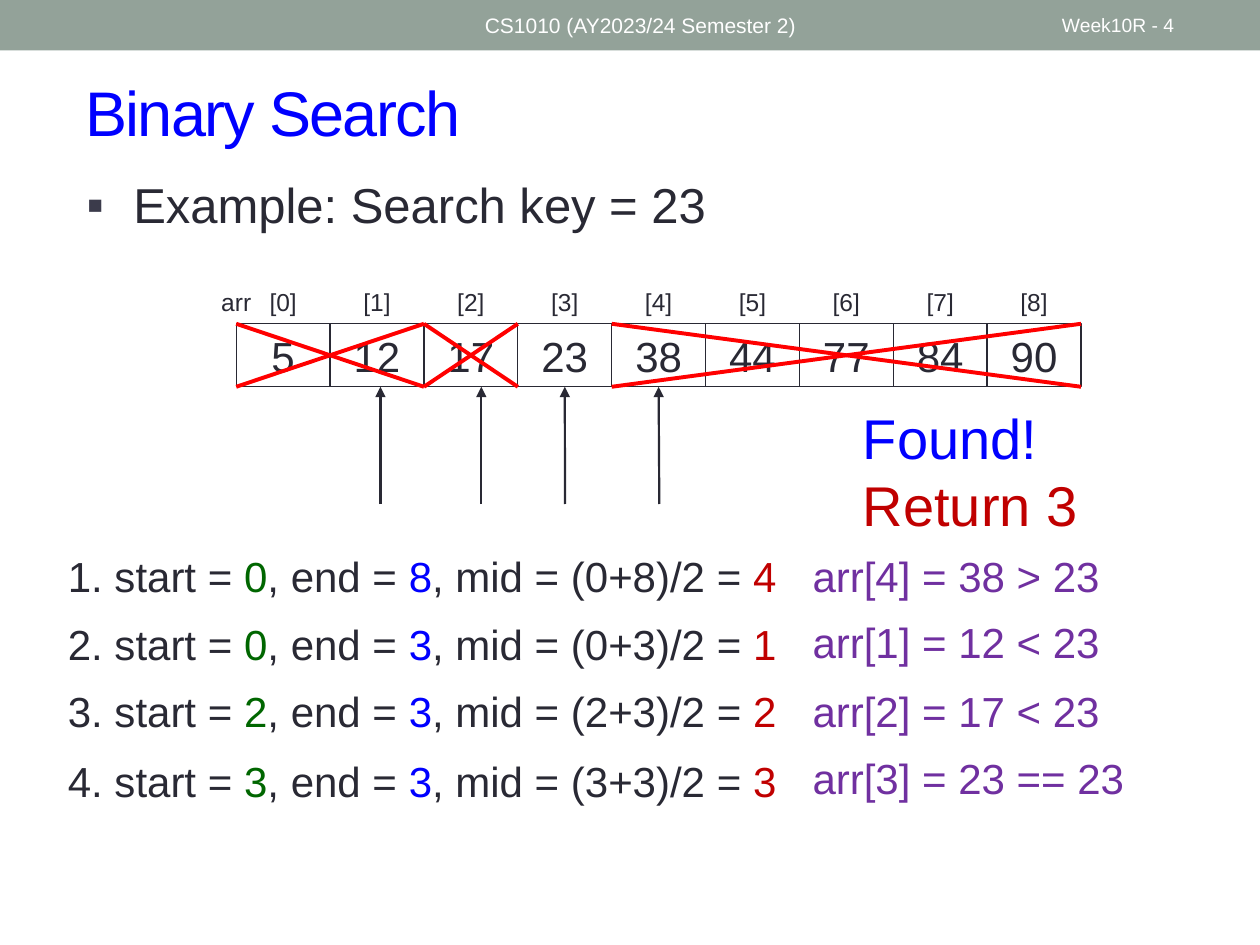
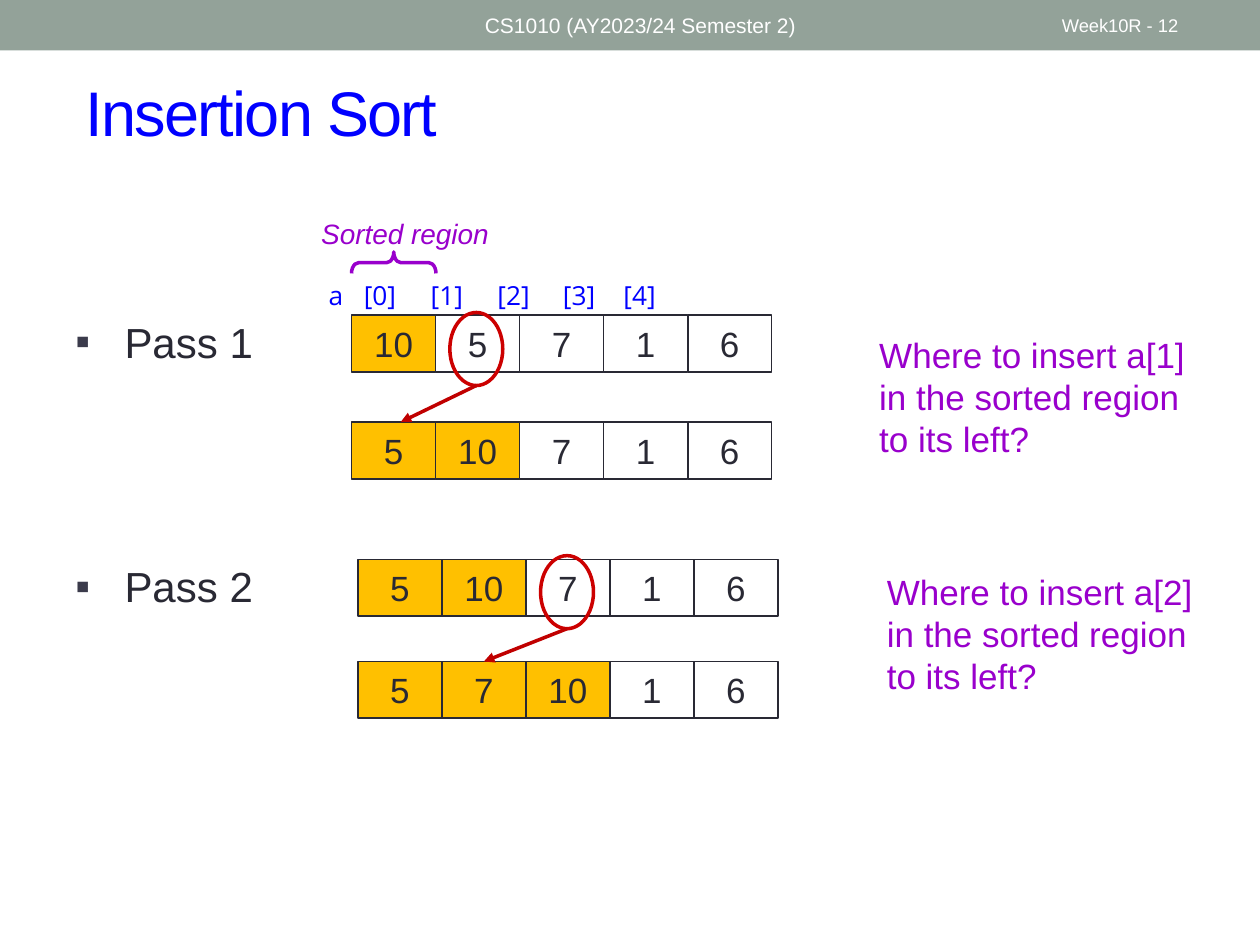
from lxml import etree
from pptx import Presentation, util as u
from pptx.dml.color import RGBColor
from pptx.enum import shapes, text
from pptx.oxml import ns

# Shared look
SAGE = RGBColor(0x93, 0xA2, 0x99)
INK = RGBColor(0x29, 0x29, 0x34)
BULLET = "3B3B4B"
BLUE = RGBColor(0x00, 0x00, 0xFF)
GREEN = RGBColor(0x00, 0x66, 0x00)
DARK_RED = RGBColor(0xC0, 0x00, 0x00)
RED = RGBColor(0xFF, 0x00, 0x00)
RING_RED = RGBColor(0xCC, 0x00, 0x00)
PURPLE = RGBColor(0x70, 0x30, 0xA0)
VIOLET = RGBColor(0x99, 0x00, 0xCC)
AMBER = RGBColor(0xFF, 0xC0, 0x00)
WHITE = RGBColor(0xFF, 0xFF, 0xFF)
MIDDLE = text.MSO_ANCHOR.MIDDLE
CENTER = text.PP_ALIGN.CENTER
SHAPE = shapes.MSO_SHAPE

# The slide is a grid of 100 columns by 75 rows of square units
COLUMNS, ROWS = 100, 75
UNIT = u.Inches(0.1)


def grid(*lengths):
    return [round(length * UNIT) for length in lengths]


def add_xml(parent, tag, **attributes):
    return etree.SubElement(parent, ns.qn(tag), attributes)


# Kinds of element
def style_font(paragraph, size, color, font="Arial"):
    paragraph.font.size = u.Pt(size)
    paragraph.font.name = font
    paragraph.font.color.rgb = color


def add_text(slide, box, lines, size, color=INK, align=None, anchor=None, font="Arial"):
    """Each line is a string or a list of (string, colour) runs."""
    frame = slide.shapes.add_textbox(*grid(*box)).text_frame
    frame.word_wrap = True
    frame.vertical_anchor = anchor
    for number, line in enumerate(lines):
        paragraph = frame.add_paragraph() if number else frame.paragraphs[0]
        paragraph.alignment = align
        style_font(paragraph, size, color, font)
        for words, run_color in [(line, color)] if isinstance(line, str) else line:
            run = paragraph.add_run()
            run.text = words
            if run_color != color:
                run.font.color.rgb = run_color
    return frame.paragraphs[0]


def add_bullet(slide, box, words, size, indent, line_spacing=None):
    paragraph = add_text(slide, box, [words], size)
    paragraph.line_spacing = line_spacing
    properties = paragraph._p.get_or_add_pPr()
    hanging = u.Inches(indent)
    properties.set("marL", str(hanging))
    properties.set("indent", str(-hanging))
    default_font = properties.find(ns.qn("a:defRPr"))
    color = add_xml(properties, "a:buClr")
    add_xml(color, "a:srgbClr", val=BULLET)
    add_xml(properties, "a:buFont", typeface="Arial")
    add_xml(properties, "a:buChar", char="▪")
    if default_font is not None:
        properties.append(default_font)


def set_tabs(paragraph, stops):
    properties = paragraph._p.get_or_add_pPr()
    default_font = properties.find(ns.qn("a:defRPr"))
    tabs = add_xml(properties, "a:tabLst")
    for stop in grid(*stops):
        add_xml(tabs, "a:tab", pos=str(stop), algn="l")
    if default_font is not None:
        properties.append(default_font)


def add_outline(slide, kind, box, line_color, width, fill=None):
    shape = slide.shapes.add_shape(kind, *grid(*box))
    shape.shadow.inherit = False
    if fill is None:
        shape.fill.background()
    else:
        shape.fill.solid()
        shape.fill.fore_color.rgb = fill
    if line_color is None:
        shape.line.fill.background()
    else:
        shape.line.color.rgb = line_color
        shape.line.width = u.Pt(width)
    return shape


def add_array(slide, left, top, cell_size, values, size, line_width, sorted_count=0):
    """A row of touching cells; the first sorted_count cells are shaded."""
    width, height = cell_size
    cells = []
    for index, value in enumerate(values):
        box = (left + index * width, top, width, height)
        fill = AMBER if index < sorted_count else None
        cell = add_outline(slide, SHAPE.RECTANGLE, box, INK, line_width, fill)
        cell.text_frame.vertical_anchor = MIDDLE
        paragraph = cell.text_frame.paragraphs[0]
        paragraph.text = str(value)
        paragraph.alignment = CENTER
        style_font(paragraph, size, INK)
        cells.append(cell)
    return cells


def add_line(slide, start, end, color, width, arrow=False, cell=None, side=0):
    """A straight line, joined at its end to a side of the cell if one is given."""
    line = slide.shapes.add_connector(shapes.MSO_CONNECTOR.STRAIGHT, *grid(*start, *end))
    line.line.color.rgb = color
    line.line.width = u.Pt(width)
    if arrow:
        add_xml(line.line._get_or_add_ln(), "a:tailEnd", type="triangle")
    add_xml(line._element.spPr, "a:effectLst")
    if cell is not None:
        line.end_connect(cell, side)


def add_cross(slide, left, right, top, bottom):
    add_line(slide, (left, top), (right, bottom), RED, 2.25)
    add_line(slide, (left, bottom), (right, top), RED, 2.25)


def add_page(presentation, title, number, number_size):
    """A slide with the header band, its captions and the title."""
    slide = presentation.slides.add_slide(presentation.slide_layouts[6])
    add_outline(slide, SHAPE.RECTANGLE, (0, 0, COLUMNS, 4), None, 0, SAGE)
    heading = add_text(slide, (5.8, 4.2, 91.7, 9.2), [title], 36, BLUE, anchor=MIDDLE)
    for run in heading.runs:
        run._r.get_or_add_rPr().set("spc", "-100")
    add_text(slide, (37.5, 0.2, 45, 3.6), ["CS1010 (AY2023/24 Semester 2)"], 12, WHITE,
             anchor=MIDDLE)
    add_text(slide, (83.3, 0.2, 11.7, 3.6), [f"Week10R - {number}"], number_size, WHITE,
             anchor=MIDDLE)
    return slide


# Slides
def build_binary_search(presentation):
    slide = add_page(presentation, "Binary Search", 4, 11)
    add_bullet(slide, (5.9, 13.9, 86.7, 5.9), "Example: Search key = 23", 28, 0.37, 0.9)

    # Array with its indices
    left, top, width, height = 18.75, 25.7, 7.45, 5
    bottom = top + height
    values = [5, 12, 17, 23, 38, 44, 77, 84, 90]
    cells = add_array(slide, left, top, (width, height), values, 24, 0.75)
    for index in range(len(values)):
        add_text(slide, (left + index * width, 22.3, width, 3.4), [f"[{index}]"], 14,
                 align=CENTER)
    add_text(slide, (15, 22.3, 7.5, 3.4), ["arr"], 14, align=CENTER)

    # Discarded ranges (first cell, cell after the last) and probed cells
    for first, after in [(4, 9), (0, 2), (2, 3)]:
        add_cross(slide, left + first * width, left + after * width, top, bottom)
    for x, cell in [(52.33, cells[4]), (30.2, None), (38.2, None), (44.85, cells[3])]:
        add_line(slide, (x, 40), (x, bottom), INK, 1.25, True, cell, 2)

    # Search steps: start, end, comparison, row of the step, row of the comparison
    steps = [
        (0, 8, "> 23", 43.2, 43.2),
        (0, 3, "< 23", 48.6, 48.4),
        (2, 3, "< 23", 53.9, 53.9),
        (3, 3, "== 23", 59.5, 59.2),
    ]
    for number, (start, end, comparison, step_row, result_row) in enumerate(steps, 1):
        mid = (start + end) // 2
        runs = [
            (f"{number}. start = ", INK), (str(start), GREEN),
            (", end = ", INK), (str(end), BLUE),
            (f", mid = ({start}+{end})/2 = ", INK), (str(mid), DARK_RED),
        ]
        add_text(slide, (4.4, step_row, 62.8, 5), [runs], 24)
        add_text(slide, (63.5, result_row, 27.9, 5),
                 [f"arr[{mid}] = {values[mid]} {comparison}"], 24, PURPLE)
    add_text(slide, (67.5, 31.5, 21.8, 11.8), ["Found!", [("Return 3", DARK_RED)]], 32, BLUE)


def build_insertion_sort(presentation):
    slide = add_page(presentation, "Insertion Sort", 12, 10.5)
    cell_size = (6.67, 4.5)

    # Sorted region and index labels
    labels = add_text(slide, (25.1, 21.7, 36.7, 3.5), ["a\t[0]\t[1]\t[2]\t[3]\t[4]"], 15, BLUE,
                      font="Open Sans")
    set_tabs(labels, [2.8, 8.1, 13.4, 18.6, 23.4])
    brace = add_outline(slide, SHAPE.LEFT_BRACE, (30.4, 17.5, 1.7, 6.7), VIOLET, 2)
    brace.rotation = 90
    brace.adjustments[0] = 0.33
    region = add_text(slide, (23.8, 16.7, 16.7, 3.7), ["Sorted region"], 16, VIOLET, CENTER)
    region.font.italic = True

    # Passes: left, rows before and after, values, ring, arrow tip, question, row of the bullet
    passes = [
        (27.9, 25, 33.5, [10, 5, 7, 1, 6], [5, 10, 7, 1, 6],
         (35.7, 24.8), 31.8, (68.8, 26), 24.6),
        (28.4, 44.4, 52.5, [5, 10, 7, 1, 6], [5, 7, 10, 1, 6],
         (42.9, 44.1), 38.4, (69.4, 44.8), 44),
    ]
    for number, (left, row_before, row_after, before, after,
                 ring, tip, question, bullet_row) in enumerate(passes, 1):
        add_bullet(slide, (5, bullet_row, 20, 5), f"Pass {number}", 24, 0.39)
        add_array(slide, left, row_before, cell_size, before, 20, 1, number)
        cells = add_array(slide, left, row_after, cell_size, after, 20, 1, number + 1)
        ring_x, ring_y = ring
        add_outline(slide, SHAPE.OVAL, (ring_x, ring_y, 4.2, 5.8), RING_RED, 2)
        target = cells[1] if number == 2 else None
        add_line(slide, (ring_x + 2.1, ring_y + 5.8), (tip, row_after), DARK_RED, 2, True, target)
        add_text(slide, (*question, 26.7, 11),
                 [f"Where to insert a[{number}] in the sorted region to its left?"], 20, VIOLET)


def main():
    presentation = Presentation()
    presentation.slide_width, presentation.slide_height = grid(COLUMNS, ROWS)
    build_binary_search(presentation)
    build_insertion_sort(presentation)
    presentation.save("out.pptx")


if __name__ == "__main__":
    main()
